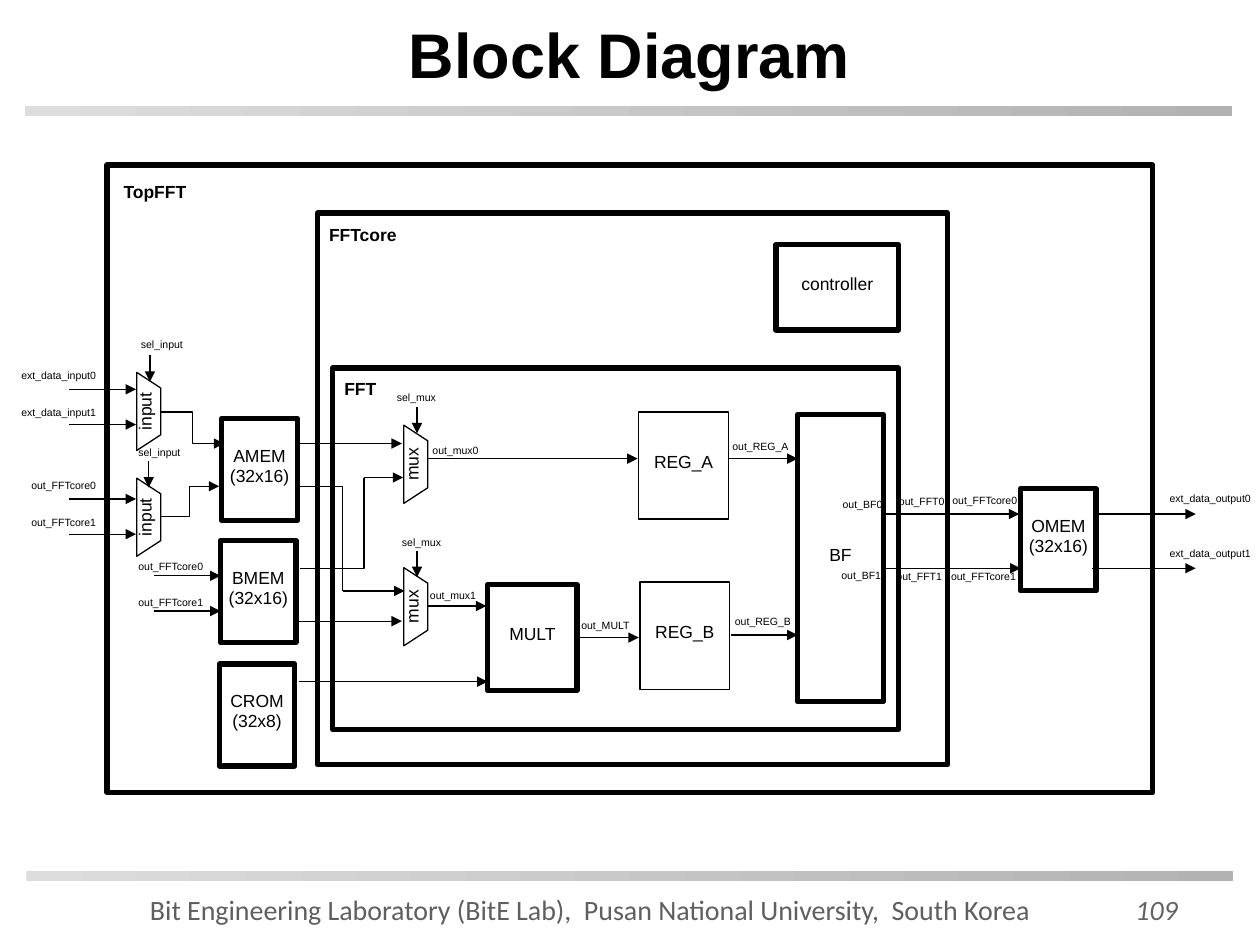
from lxml import etree
from pptx import Presentation
from pptx import util as u
from pptx.dml.color import RGBColor
from pptx.enum import shapes, text
from pptx.oxml import ns

COLORS = {"ink": "000000", "bar_start": "DDDDDD", "bar_end": "B2B2B2",
          "footer": "5F5F5F", "page": "626262"}
THICK, THIN = 3, 0.75


def write(shape, content, size=10, font="Arial", color="ink", bold=False, italic=False,
          align=text.PP_ALIGN.CENTER, anchor=text.MSO_ANCHOR.MIDDLE, lift=0.05, wrap=False):
    frame = shape.text_frame
    frame.word_wrap = wrap
    frame.vertical_anchor = anchor
    frame.margin_left = frame.margin_right = frame.margin_top = 0
    frame.margin_bottom = u.Inches(lift)
    for index, line in enumerate(content.split("\n")):
        paragraph = frame.paragraphs[0] if index == 0 else frame.add_paragraph()
        paragraph.alignment = align
        paragraph.line_spacing = 0.95
        run = paragraph.add_run()
        run.text = line
        run.font.size = u.Pt(size)
        run.font.name = font
        run.font.bold = bold
        run.font.italic = italic
        run.font.color.rgb = RGBColor.from_string(COLORS[color])


def connect(x1, y1, x2, y2, kind=shapes.MSO_CONNECTOR.STRAIGHT, arrow=True, bend=None):
    connector = slide.shapes.add_connector(kind, *[u.Inches(v) for v in (x1, y1, x2, y2)])
    connector.line.color.rgb = RGBColor.from_string(COLORS["ink"])
    connector.line.width = u.Pt(THIN)
    properties = connector._element.spPr
    if arrow:
        etree.SubElement(connector.line._get_or_add_ln(), ns.qn("a:tailEnd"), type="triangle")
    if bend is not None:
        adjustments = properties.find(ns.qn("a:prstGeom")).find(ns.qn("a:avLst"))
        etree.SubElement(adjustments, ns.qn("a:gd"), name="adj1", fmla=f"val {bend}")
    etree.SubElement(properties, ns.qn("a:effectLst"))


presentation = Presentation()
presentation.slide_width = u.Inches(10)
presentation.slide_height = u.Inches(7.5)
slide = presentation.slides.add_slide(presentation.slide_layouts[5])

for left, top in [(0.21, 6.91), (0.2, 0.84)]:
    bar = slide.shapes.add_shape(shapes.MSO_SHAPE.RECTANGLE, u.Inches(left), u.Inches(top),
                                 u.Inches(9.58), u.Inches(0.08))
    bar.shadow.inherit = False
    bar.line.fill.background()
    bar.fill.gradient()
    bar.fill.gradient_angle = 0
    for stop, name in zip(bar.fill.gradient_stops, ["bar_start", "bar_end"]):
        stop.color.rgb = RGBColor.from_string(COLORS[name])

title = slide.shapes.title
title.left, title.top = u.Inches(0.33), u.Inches(0.06)
title.width, title.height = u.Inches(9.33), u.Inches(0.78)
write(title, "Block Diagram", size=36, bold=True, lift=0, wrap=True)

footer = slide.shapes.add_textbox(u.Inches(1.19), u.Inches(7.08), u.Inches(7.08), u.Inches(0.38))
write(footer, "Bit Engineering Laboratory (BitE Lab),  Pusan National University,  South Korea",
      size=16, font="Calibri", color="footer", align=text.PP_ALIGN.LEFT, lift=0.08)
page = slide.shapes.add_textbox(u.Inches(8.57), u.Inches(7.08), u.Inches(1.22), u.Inches(0.38))
write(page, "109", size=16, font="Calibri", color="page", italic=True, lift=0.08)

boxes = [
    ("", 0.85, 1.31, 8.3, 4.98, THICK),
    ("", 2.52, 1.69, 5, 4.38, THICK),
    ("", 2.64, 2.92, 4.49, 2.87, THICK),
    ("AMEM\n(32x16)", 1.76, 3.32, 0.6, 0.81, THICK),
    ("BMEM\n(32x16)", 1.75, 4.29, 0.6, 0.81, THICK),
    ("CROM\n(32x8)", 1.74, 5.27, 0.6, 0.81, THICK),
    ("OMEM\n(32x16)", 8.1, 3.88, 0.6, 0.81, THICK),
    ("MULT", 3.87, 4.64, 0.71, 0.84, THICK),
    ("REG_A", 5.07, 3.27, 0.71, 0.85, THIN),
    ("REG_B", 5.08, 4.62, 0.71, 0.85, THIN),
    ("BF", 6.33, 3.29, 0.68, 2.28, THICK),
    ("controller", 6.16, 1.94, 0.97, 0.68, THICK),
]
muxes = [(name, left, top, 0.62, 0.19, THIN) for name, left, top in [
    ("input", 0.87, 3.17), ("input", 0.87, 4.01), ("mux", 2.99, 3.59), ("mux", 2.99, 4.72)]]
for preset, rotation, blocks in [(shapes.MSO_SHAPE.RECTANGLE, 0, boxes),
                                 (shapes.MSO_SHAPE.FLOWCHART_MANUAL_OPERATION, 270, muxes)]:
    for name, left, top, width, height, weight in blocks:
        block = slide.shapes.add_shape(preset, *[u.Inches(v) for v in (left, top, width, height)])
        block.rotation = rotation
        block.shadow.inherit = False
        block.fill.background()
        block.line.color.rgb = RGBColor.from_string(COLORS["ink"])
        block.line.width = u.Pt(weight)
        if name:
            write(block, name)

horizontal_arrows = [
    (4.59, 5.07, 5.06), (5.8, 6.33, 5.04), (5.78, 6.33, 3.64), (2.37, 3.87, 5.41),
    (3.39, 5.06, 3.64), (2.36, 3.19, 3.52), (2.89, 3.2, 3.79), (2.72, 3.21, 4.69),
    (2.36, 3.19, 4.93), (3.39, 3.86, 4.81), (7.03, 8.09, 4.08), (7.03, 8.1, 4.51),
    (8.69, 9.49, 4.08), (8.67, 9.49, 4.51), (1.22, 1.75, 4.57), (1.22, 1.75, 4.85),
] + [(0.55, 1.08, y) for y in (3.09, 3.37, 3.96, 4.24)]
for start, end, y in horizontal_arrows:
    connect(start, y, end, y)
for x, y in [(1.19, 2.82), (1.18, 3.66), (3.31, 3.23), (3.31, 4.37)]:
    connect(x, y, x, y + 0.21)

elbow = shapes.MSO_CONNECTOR.ELBOW
connect(1.28, 3.27, 1.78, 3.52, elbow)
connect(1.27, 4.1, 1.74, 3.86, elbow)
connect(2.37, 3.86, 2.72, 4.69, elbow, arrow=False, bend=100000)
connect(2.38, 4.51, 2.89, 3.79, elbow, arrow=False, bend=100000)

frame_labels = [("TopFFT", 0.85, 1.45), ("FFTcore", 2.5, 1.79), ("FFT", 2.48, 3.01)]
signal_labels = [
    ("out_mux0", 3.19, 3.53), ("out_mux1", 3.17, 4.68), ("out_MULT", 4.38, 4.92),
    ("out_REG_A", 5.61, 3.5), ("out_REG_B", 5.63, 4.89),
    ("out_BF0", 6.42, 3.96), ("out_BF1", 6.41, 4.52),
    ("out_FFT0", 6.89, 3.94), ("out_FFT1", 6.87, 4.53),
    ("out_FFTcore0", 7.39, 3.93), ("out_FFTcore1", 7.38, 4.53),
    ("ext_data_output0", 9.18, 3.91), ("ext_data_output1", 9.18, 4.35),
    ("ext_data_input0", 0.04, 2.94), ("ext_data_input1", 0.04, 3.23),
    ("out_FFTcore0", 0.08, 3.81), ("out_FFTcore1", 0.08, 4.1),
    ("out_FFTcore0", 0.93, 4.45), ("out_FFTcore1", 0.93, 4.74),
    ("sel_input", 0.86, 2.69), ("sel_input", 0.84, 3.55),
    ("sel_mux", 2.88, 3.11), ("sel_mux", 2.92, 4.26),
]
for labels, width, height, size, bold in [(frame_labels, 0.76, 0.2, 10, True),
                                          (signal_labels, 0.85, 0.16, 6, False)]:
    for name, left, top in labels:
        label = slide.shapes.add_textbox(*[u.Inches(v) for v in (left, top, width, height)])
        write(label, name, size=size, bold=bold, anchor=text.MSO_ANCHOR.TOP, lift=0, wrap=True)

presentation.save("out.pptx")
